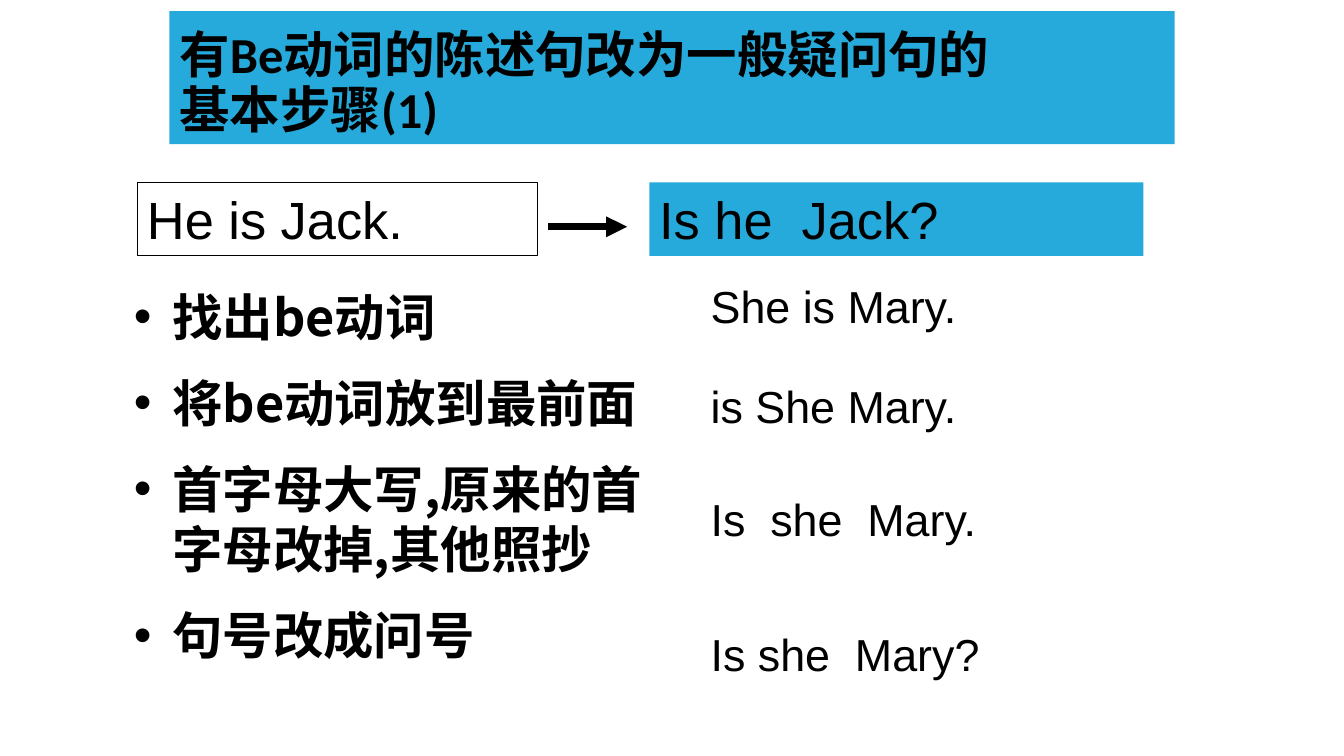
from dataclasses import dataclass
from typing import Any, Optional

from lxml import etree
from pptx import Presentation
from pptx.dml.color import RGBColor
from pptx.enum.shapes import MSO_CONNECTOR, MSO_SHAPE
from pptx.enum.text import MSO_ANCHOR, MSO_AUTO_SIZE, PP_ALIGN
from pptx.oxml.ns import qn
from pptx.util import Inches, Pt

RECTANGLE = MSO_SHAPE.RECTANGLE
STRAIGHT = MSO_CONNECTOR.STRAIGHT
TOP, BOTTOM = MSO_ANCHOR.TOP, MSO_ANCHOR.BOTTOM
NO_AUTOFIT = MSO_AUTO_SIZE.NONE
LEFT = PP_ALIGN.LEFT


@dataclass(frozen=True)
class Theme:
    black: RGBColor = RGBColor(0x00, 0x00, 0x00)
    white: RGBColor = RGBColor(0xFF, 0xFF, 0xFF)
    blue: RGBColor = RGBColor(0x26, 0xAA, 0xDB)
    title_font: str = "Calibri"
    steps_font: str = "Noto Sans CJK SC"
    sentence_font: str = "Arial"
    heading_size: float = 36
    sentence_size: float = 37.4
    example_size: float = 32


@dataclass(frozen=True)
class Sentence:
    text: str
    left: float
    top: float
    width: float
    height: float
    size: float
    fill: Optional[RGBColor] = None
    outlined: bool = False


THEME = Theme()
TITLE_LINES = ("有Be动词的陈述句改为一般疑问句的", "基本步骤(1)")
STEPS = (
    "找出be动词",
    "将be动词放到最前面",
    "首字母大写,原来的首字母改掉,其他照抄",
    "句号改成问号",
)
EXAMPLES = (
    ("She is Mary.", 2.72),
    ("is She Mary.", 3.71),
    ("Is  she  Mary.", 4.83),
    ("Is she  Mary?", 6.17),
)
SENTENCES = (
    Sentence("He is Jack.", 1.36, 1.81, 3.97, 0.73, THEME.sentence_size, THEME.white, True),
    Sentence("Is he  Jack?", 6.44, 1.81, 4.9, 0.73, THEME.sentence_size, THEME.blue),
    *(Sentence(text, 6.95, top, 3.89, 0.64, THEME.example_size) for text, top in EXAMPLES),
)


def apply_format(target: Any, values: dict[str, Any]) -> None:
    for name, value in values.items():
        setattr(target, name, value)


def format_frame(frame: Any, anchor: Any) -> None:
    apply_format(frame, {"word_wrap": True, "auto_size": NO_AUTOFIT, "vertical_anchor": anchor})


def place(shape: Any, left: float, top: float, width: float, height: float) -> None:
    apply_format(shape, {
        "left": Inches(left), "top": Inches(top),
        "width": Inches(width), "height": Inches(height),
    })


def add_run(paragraph: Any, text: str, font_name: str, size: float, bold: bool = False) -> None:
    run = paragraph.add_run()
    run.text = text
    apply_format(run.font, {"name": font_name, "size": Pt(size), "bold": bold})
    run.font.color.rgb = THEME.black
    east_asian = etree.SubElement(run.font._element, qn("a:ea"))
    east_asian.set("typeface", font_name)


def add_title(slide: Any) -> None:
    title = slide.shapes.title
    place(title, 1.68, 0.11, 9.97, 1.32)
    title.fill.solid()
    title.fill.fore_color.rgb = THEME.blue
    format_frame(title.text_frame, BOTTOM)
    paragraph = title.text_frame.paragraphs[0]
    apply_format(paragraph, {"alignment": LEFT, "line_spacing": 0.9})
    for index, line in enumerate(TITLE_LINES):
        if index:
            paragraph.add_line_break()
        add_run(paragraph, line, THEME.title_font, THEME.heading_size, True)


def add_sentence(slide: Any, sentence: Sentence) -> None:
    box = (Inches(sentence.left), Inches(sentence.top),
           Inches(sentence.width), Inches(sentence.height))
    if sentence.fill is None:
        shape = slide.shapes.add_textbox(*box)
    else:
        shape = slide.shapes.add_shape(RECTANGLE, *box)
        shape.shadow.inherit = False
        shape.fill.solid()
        shape.fill.fore_color.rgb = sentence.fill
        if sentence.outlined:
            shape.line.color.rgb = THEME.black
            shape.line.width = Pt(0.75)
        else:
            shape.line.fill.background()
    format_frame(shape.text_frame, TOP)
    paragraph = shape.text_frame.paragraphs[0]
    paragraph.alignment = LEFT
    add_run(paragraph, sentence.text, THEME.sentence_font, sentence.size)


def add_bullet(paragraph: Any) -> None:
    properties = paragraph._p.get_or_add_pPr()
    properties.set("marL", str(Inches(0.38)))
    properties.set("indent", str(-Inches(0.38)))
    etree.SubElement(properties, qn("a:buFont")).set("typeface", THEME.sentence_font)
    etree.SubElement(properties, qn("a:buChar")).set("char", "•")


def add_steps(slide: Any) -> None:
    box = slide.shapes.add_textbox(Inches(1.23), Inches(2.71), Inches(5.67), Inches(4.04))
    frame = box.text_frame
    format_frame(frame, TOP)
    frame.margin_top = Inches(0.13)
    for index, step in enumerate(STEPS):
        paragraph = frame.add_paragraph() if index else frame.paragraphs[0]
        add_bullet(paragraph)
        apply_format(paragraph, {
            "line_spacing": Pt(43), "space_before": Pt(18.5 if index else 0),
        })
        add_run(paragraph, step, THEME.steps_font, THEME.heading_size, True)


def add_arrow(slide: Any) -> None:
    arrow = slide.shapes.add_connector(
        STRAIGHT, Inches(5.44), Inches(2.25), Inches(6.22), Inches(2.25))
    arrow.line.color.rgb = THEME.black
    arrow.line.width = Pt(5)
    etree.SubElement(arrow.line._get_or_add_ln(), qn("a:tailEnd")).set("type", "triangle")
    etree.SubElement(arrow._element.spPr, qn("a:effectLst"))


def main() -> None:
    presentation = Presentation()
    apply_format(presentation, {"slide_width": Inches(13.33), "slide_height": Inches(7.5)})
    slide = presentation.slides.add_slide(presentation.slide_layouts[5])
    add_title(slide)
    for sentence in SENTENCES:
        add_sentence(slide, sentence)
    add_steps(slide)
    add_arrow(slide)
    presentation.save("out.pptx")


if __name__ == "__main__":
    main()
